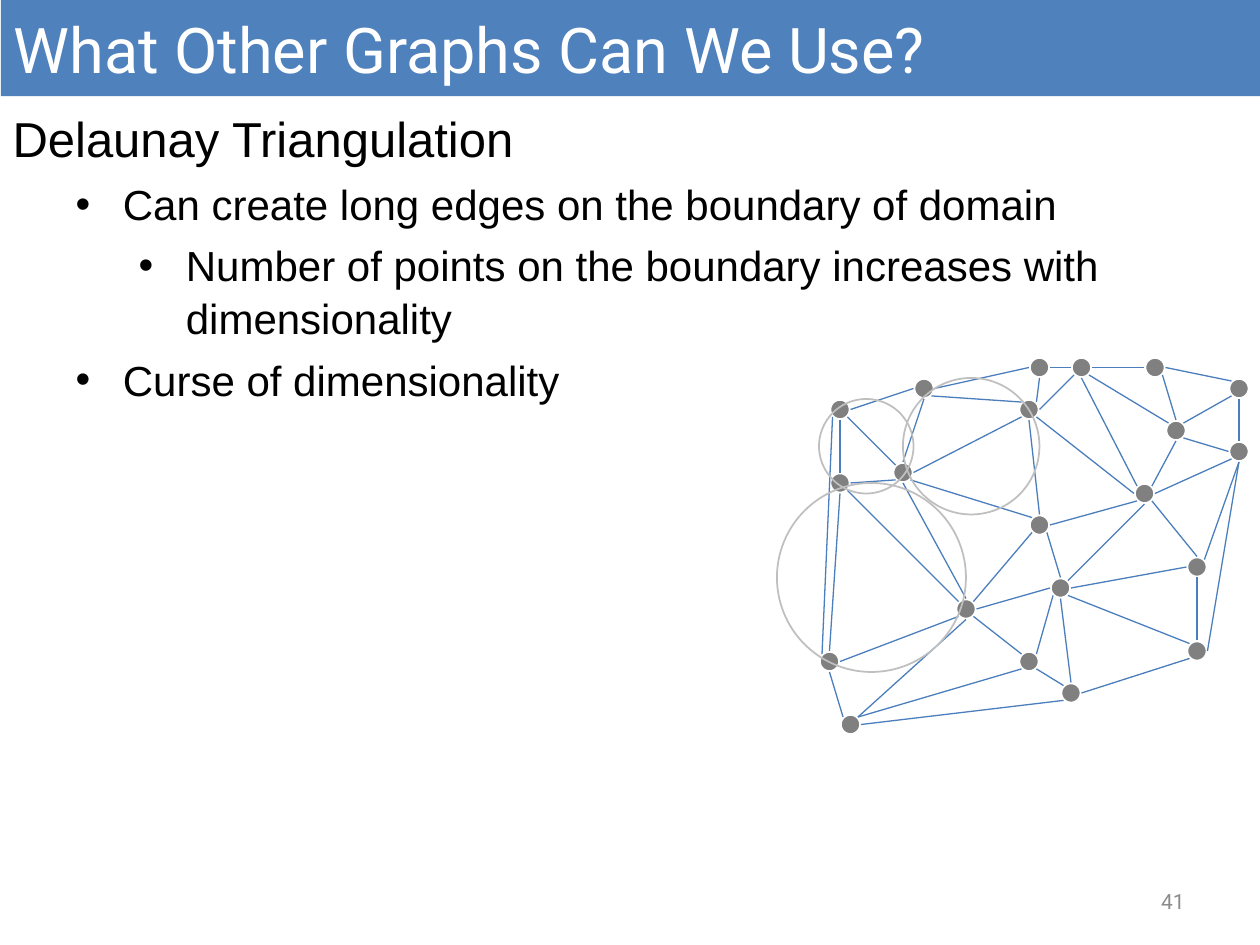
from math import cos, radians, sin

from lxml import etree
from pptx import Presentation
from pptx.dml.color import RGBColor
from pptx.enum.shapes import MSO_CONNECTOR, MSO_SHAPE
from pptx.enum.text import MSO_ANCHOR, MSO_AUTO_SIZE, PP_ALIGN
from pptx.oxml.ns import qn
from pptx.util import Pt

LINE = MSO_CONNECTOR.STRAIGHT
OVAL = MSO_SHAPE.OVAL
MIDDLE, TOP = MSO_ANCHOR.MIDDLE, MSO_ANCHOR.TOP
LEFT, RIGHT = PP_ALIGN.LEFT, PP_ALIGN.RIGHT
FIXED = MSO_AUTO_SIZE.NONE

TITLE = "What Other Graphs Can We Use?"
PAGE = "41"
ITEMS = [
    (0, "Delaunay Triangulation"),
    (1, "Can create long edges on the boundary of domain"),
    (2, "Number of points on the boundary increases with dimensionality"),
    (1, "Curse of dimensionality"),
]

NODES = {
    "A": (114, 54), "B": (101, 56), "C": (92, 58), "D": (102, 66),
    "E": (114, 62), "F": (80, 39), "G": (88, 37), "H": (99, 35),
    "I": (103, 35), "J": (118, 37), "K": (112, 41), "L": (86, 45),
    "M": (99, 50), "N": (109, 47), "O": (98, 39), "P": (110, 35),
    "Q": (98, 63), "R": (80, 46), "S": (79, 63), "T": (81, 69),
    "U": (118, 43),
}
EDGES = [
    "F:S R:N", "F:E G:W", "F:SE L:NW", "L:SW R:E", "R:S S:N",
    "B:N M:SE", "O:SW L:E", "G:S L:N", "G:SE O:NW", "M:NW L:SE",
    "L:S C:N", "I:W H:E", "H:S O:NE", "O:S M:N", "R:SE C:NW",
    "Q:SE D:NW", "K:NW I:SE", "M:SW C:NE", "O:E I:SW", "K:S N:NE",
    "S:S T:NW", "S:E C:SW", "N:E U:SW", "H:W G:E", "T:E D:SW",
    "T:NE Q:SW", "I:S N:NW", "C:SE Q:NW", "F:SW S:NW", "B:SW Q:NE",
    "I:E P:W", "P:SE K:N", "K:NE J:SW", "K:SE U:W", "B:W C:E",
    "J:S U:N", "T:NE C:S", "P:E J:NW", "B:S D:N", "M:E N:SW",
    "B:NE N:S", "B:SE E:NW", "D:E E:SW", "E:N A:S", "B:E A:W",
    "A:N N:SE", "A:NE U:S", "E:E U:S", "O:SE N:W",
]
RINGS = [(74, 46, 18), (78, 38, 9), (86, 36, 13)]

THEME = {
    "bar": RGBColor(0x4F, 0x81, 0xBD),
    "white": RGBColor(0xFF, 0xFF, 0xFF),
    "black": RGBColor(0, 0, 0),
    "node": RGBColor(0x80, 0x80, 0x80),
    "edge": RGBColor(0x4B, 0x7E, 0xBC),
    "ring": RGBColor(0xBF, 0xBF, 0xBF),
    "page": RGBColor(0x8C, 0x8C, 0x8C),
    "head": "Roboto",
    "text": "Arial",
    "title": 36,
    "items": (28, 24, 24),
    "num": 12,
}
GRID = 6
TURN = ("E", "SE", "S", "SW", "W", "NW", "N", "NE")


def place(shape, left, top, width, height):
    shape.left, shape.top = Pt(left), Pt(top)
    shape.width, shape.height = Pt(width), Pt(height)


def style(para, face, size, color):
    for run in para.runs:
        run.font.name = THEME[face]
        run.font.size = Pt(size)
        run.font.color.rgb = THEME[color]


def bullet(para, level):
    props = para._p.get_or_add_pPr()
    props.set("marL", str(Pt(27 + 36 * level)))
    props.set("indent", str(Pt(-27)))
    if level:
        etree.SubElement(props, qn("a:buFont")).set("typeface", THEME["text"])
        etree.SubElement(props, qn("a:buChar")).set("char", "•")
    else:
        etree.SubElement(props, qn("a:buNone"))


def oval(slide, left, top, size, line, weight, fill=None):
    shape = slide.shapes.add_shape(
        OVAL, *(Pt(n * GRID) for n in (left, top, size, size)))
    shape.shadow.inherit = False
    if fill:
        shape.fill.solid()
        shape.fill.fore_color.rgb = THEME[fill]
    else:
        shape.fill.background()
    shape.line.color.rgb = THEME[line]
    shape.line.width = Pt(weight)


def site(end):
    name, side = end.split(":")
    angle = radians(45 * TURN.index(side))
    x, y = NODES[name]
    return Pt((x + cos(angle)) * GRID), Pt((y + sin(angle)) * GRID)


def graph(slide):
    for x, y in NODES.values():
        oval(slide, x - 1, y - 1, 2, "white", 2, "node")
    for edge in EDGES:
        start, stop = edge.split()
        link = slide.shapes.add_connector(LINE, *site(start), *site(stop))
        link.line.color.rgb = THEME["edge"]
        link.line.width = Pt(0.75)
        etree.SubElement(link._element.spPr, qn("a:effectLst"))
    for x, y, size in RINGS:
        oval(slide, x, y, size, "ring", 1)


def title(shape):
    place(shape, 0.5, 0, 719.5, 55)
    shape.fill.solid()
    shape.fill.fore_color.rgb = THEME["bar"]
    frame = shape.text_frame
    frame.text = TITLE
    frame.auto_size = FIXED
    frame.vertical_anchor = MIDDLE
    para = frame.paragraphs[0]
    para.alignment = LEFT
    style(para, "head", THEME["title"], "white")


def body(shape):
    place(shape, 0, 57, 720, 175)
    frame = shape.text_frame
    frame.text = "\n".join(text for _, text in ITEMS)
    frame.auto_size = FIXED
    frame.vertical_anchor = TOP
    for i, (para, (level, _)) in enumerate(zip(frame.paragraphs, ITEMS)):
        size = THEME["items"][level]
        para.level = level
        bullet(para, level)
        para.line_spacing = 1.05
        para.space_before = Pt(0.2 * size if i else 0)
        style(para, "text", size, "black")


def number(slide):
    box = slide.shapes.add_textbox(Pt(516), Pt(500.5), Pt(168), Pt(29))
    frame = box.text_frame
    frame.word_wrap = True
    frame.vertical_anchor = MIDDLE
    frame.text = PAGE
    para = frame.paragraphs[0]
    para.alignment = RIGHT
    style(para, "head", THEME["num"], "page")


def main():
    deck = Presentation()
    deck.slide_width, deck.slide_height = Pt(720), Pt(540)
    slide = deck.slides.add_slide(deck.slide_layouts[1])
    title(slide.shapes.title)
    body(slide.placeholders[1])
    graph(slide)
    number(slide)
    deck.save("out.pptx")


if __name__ == "__main__":
    main()
